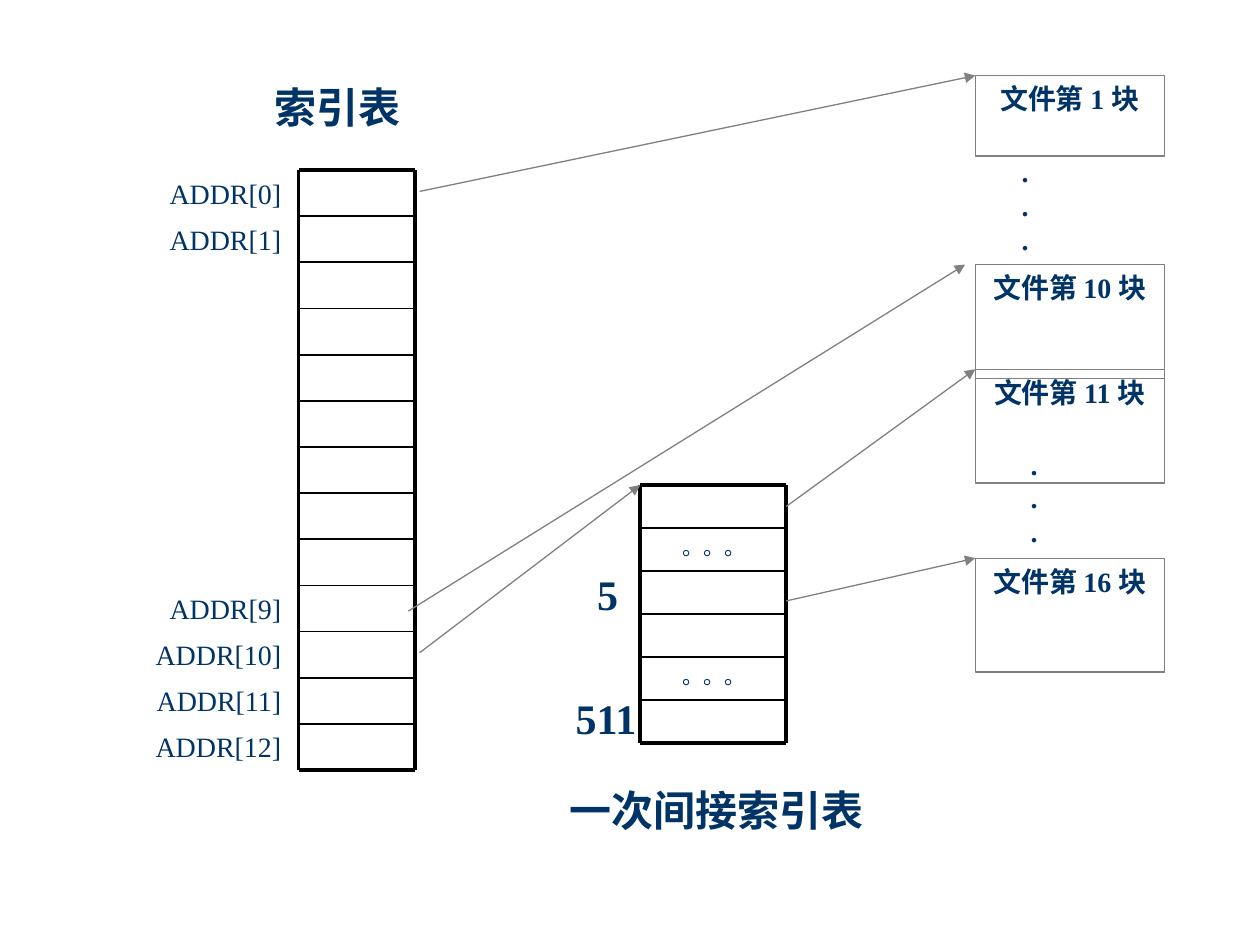
from lxml import etree
from pptx import Presentation
from pptx.dml.color import RGBColor
from pptx.enum.lang import MSO_LANGUAGE_ID
from pptx.enum.shapes import MSO_CONNECTOR, MSO_SHAPE
from pptx.enum.text import MSO_ANCHOR, PP_ALIGN
from pptx.oxml.ns import qn
from pptx.util import Pt

STRAIGHT = MSO_CONNECTOR.STRAIGHT
RECTANGLE = MSO_SHAPE.RECTANGLE
TOP = MSO_ANCHOR.TOP
CENTER, RIGHT = PP_ALIGN.CENTER, PP_ALIGN.RIGHT
CHINESE = MSO_LANGUAGE_ID.SIMPLIFIED_CHINESE

NAVY = RGBColor(0x00, 0x33, 0x66)
BLACK = RGBColor(0x00, 0x00, 0x00)
GRAY = RGBColor(0x80, 0x80, 0x80)


class Diagram:
    font = "Times New Roman"
    thick, thin, hairline = 2.25, 1, 0.75

    def __init__(self, slide):
        self.slide = slide

    def fill_text(self, shape, lines, size, bold, align, wrap=True):
        frame = shape.text_frame
        frame.word_wrap = wrap
        frame.vertical_anchor = TOP
        for index, text in enumerate(lines):
            paragraph = frame.add_paragraph() if index else frame.paragraphs[0]
            paragraph.alignment = align
            run = paragraph.add_run()
            run.text = text
            run.font.name = self.font
            run.font.size = Pt(size)
            run.font.bold = bold
            run.font.color.rgb = NAVY
            run.font.language_id = CHINESE

    def text(self, left, top, width, height, lines, size,
             bold=True, align=CENTER, wrap=False):
        box = self.slide.shapes.add_textbox(Pt(left), Pt(top), Pt(width), Pt(height))
        self.fill_text(box, lines, size, bold, align, wrap)

    def block(self, left, top, width, height, label):
        shape = self.slide.shapes.add_shape(
            RECTANGLE, Pt(left), Pt(top), Pt(width), Pt(height))
        shape.shadow.inherit = False
        shape.fill.background()
        shape.line.color.rgb = GRAY
        shape.line.width = Pt(self.hairline)
        self.fill_text(shape, [label], 16, True, CENTER)

    def line(self, start, end, color, width):
        connector = self.slide.shapes.add_connector(
            STRAIGHT, *(Pt(value) for value in (*start, *end)))
        connector.line.color.rgb = color
        connector.line.width = Pt(width)
        etree.SubElement(connector._element.spPr, qn("a:effectLst"))
        return connector

    def arrow(self, start, end):
        connector = self.line(start, end, GRAY, self.hairline)
        outline = connector._element.spPr.find(qn("a:ln"))
        etree.SubElement(outline, qn("a:tailEnd"), type="triangle")

    def index_grid(self, left, right, top, row_height, rows):
        bottom = top + rows * row_height
        for row in range(rows + 1):
            y = top + row * row_height
            width = self.thick if row in (0, rows) else self.thin
            self.line((left, y), (right, y), BLACK, width)
        for x in (left, right):
            self.line((x, top), (x, bottom), BLACK, self.thick)


def main():
    presentation = Presentation()
    presentation.slide_width, presentation.slide_height = Pt(720), Pt(540)
    slide = presentation.slides.add_slide(presentation.slide_layouts[6])
    diagram = Diagram(slide)

    # Index table with its address labels
    index_top, index_row = 97.2, 26.37
    diagram.index_grid(170.6, 236.9, index_top, index_row, 13)
    for number in (0, 1, 9, 10, 11, 12):
        diagram.text(59.8, index_top + number * index_row, 108, index_row,
                     [f"ADDR[{number}]"], 16, bold=False, align=RIGHT, wrap=True)
    diagram.text(149.8, 43.2, 86.4, 36, ["索引表"], 24)

    # File blocks and the dots between them
    block_left = 557.3
    block_tops = {1: 43.2, 10: 151.2, 11: 211, 16: 319}
    for number, top in block_tops.items():
        height = 45.9 if number == 1 else 65
        diagram.block(block_left, top, 108, height, f"文件第 {number} 块")
    for left, top in ((576.7, 85), (581.8, 252)):
        diagram.text(left, top, 18, 65, ["."] * 3, 16)

    # Single indirect index table
    indirect_left, indirect_right = 365.8, 449.3
    indirect_top, indirect_row = 277.2, 24.6
    diagram.index_grid(indirect_left, indirect_right, indirect_top, indirect_row, 6)
    for row in (1, 4):
        diagram.text(indirect_left, indirect_top + row * indirect_row, 84, indirect_row,
                     ["。。。"], 12, bold=False, wrap=True)
    diagram.text(334.1, 321.1, 25.9, 36, ["5"], 24)
    diagram.text(321.1, 392.4, 50.4, 36, ["511"], 24)
    diagram.text(318.2, 445, 182.2, 36, ["一次间接索引表"], 24)

    # Pointers from table entries
    diagram.arrow((239.8, 109.4), (block_left, block_tops[1]))
    diagram.arrow((233.3, 349.2), (551.5, block_tops[10]))
    diagram.arrow((239.8, 373), (indirect_left, indirect_top))
    diagram.arrow((indirect_right, 289.4), (block_left, block_tops[11]))
    diagram.arrow((indirect_right, 343.4), (block_left, block_tops[16]))

    presentation.save("out.pptx")


if __name__ == "__main__":
    main()
